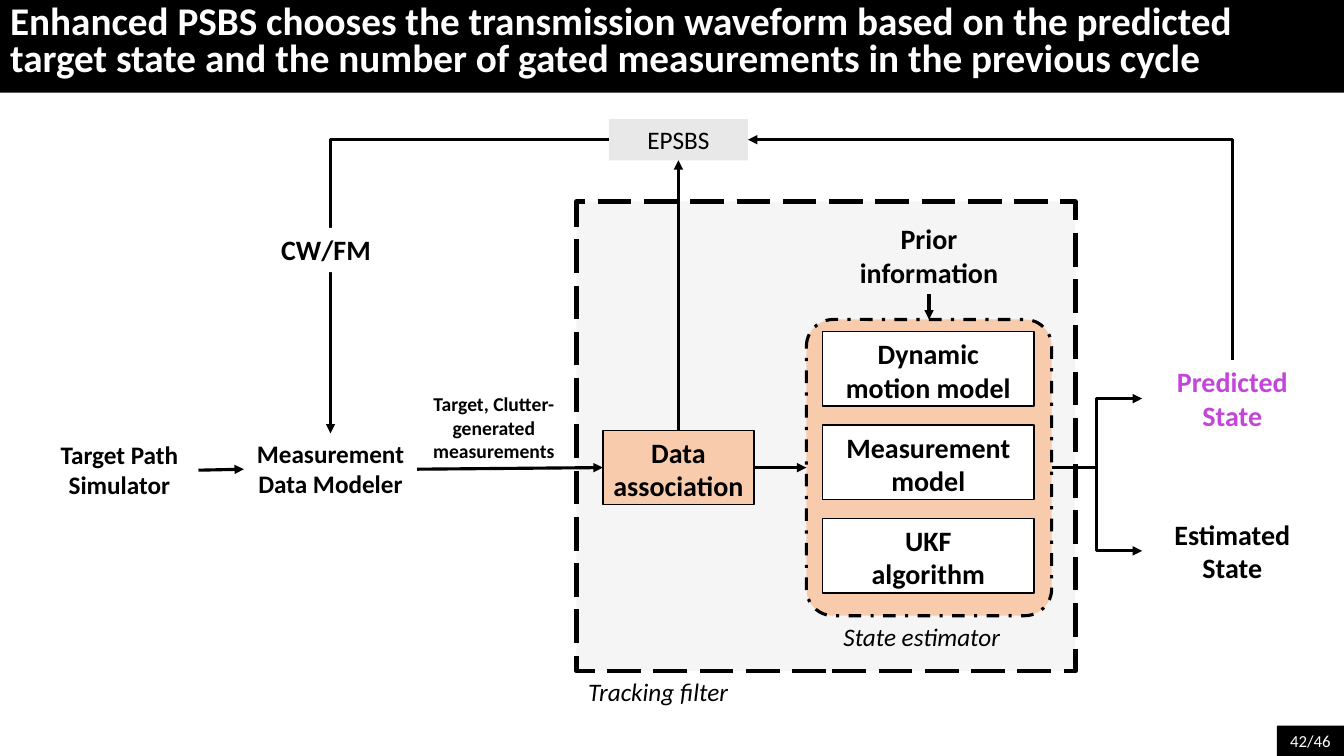
import pptx
import pptx.dml.color
import pptx.enum.dml
import pptx.enum.shapes
import pptx.enum.text
import pptx.oxml
import pptx.oxml.ns
import pptx.util

Pt = pptx.util.Pt
SHAPE = pptx.enum.shapes.MSO_SHAPE
CONNECTOR = pptx.enum.shapes.MSO_CONNECTOR
DASH = pptx.enum.dml.MSO_LINE
ALIGN = pptx.enum.text.PP_ALIGN
TOP, LEFT, BOTTOM, RIGHT = range(4)


def rgb(value):
    return pptx.dml.color.RGBColor.from_string(value)


class Diagram:
    """Draws styled blocks, labels and links on one slide."""

    font, ink, paper = "Calibri", "000000", "FFFFFF"
    panel, accent = "F5F5F5", "F8CBAD"

    def __init__(self, prs):
        self.slide = prs.slides.add_slide(prs.slide_layouts[5])
        self.shapes = self.slide.shapes

    def set_text(self, sp, text, size, bold=False, italic=False, color=ink, align=ALIGN.CENTER):
        tf = sp.text_frame
        tf.text = text
        tf.word_wrap = True
        tf.auto_size = pptx.enum.text.MSO_AUTO_SIZE.NONE
        tf.vertical_anchor = pptx.enum.text.MSO_ANCHOR.TOP
        for p in tf.paragraphs:
            p.alignment = align
            p.font.name = self.font
            p.font.size = Pt(size)
            p.font.bold = bold
            p.font.italic = italic
            p.font.color.rgb = rgb(color)

    def title(self, text, box, size):
        sp = self.shapes.title
        sp.left, sp.top, sp.width, sp.height = map(Pt, box)
        sp.fill.solid()
        sp.fill.fore_color.rgb = rgb(self.ink)
        self.set_text(sp, text, size, bold=True, color=self.paper, align=ALIGN.LEFT)
        sp.text_frame.paragraphs[0].line_spacing = 0.8

    def block(self, box, fill, line=None, dash=None, kind=SHAPE.RECTANGLE):
        sp = self.shapes.add_shape(kind, *map(Pt, box))
        sp.shadow.inherit = False
        sp.fill.solid()
        sp.fill.fore_color.rgb = rgb(fill)
        if line is None:
            sp.line.fill.background()
        else:
            sp.line.color.rgb = rgb(self.ink)
            sp.line.width = Pt(line)
            sp.line.dash_style = dash
        return sp

    def text_block(self, text, box, fill=paper, line=None, size=20, bold=True, color=ink):
        sp = self.block(box, fill, line)
        self.set_text(sp, text, size, bold, color=color)
        return sp

    def label(self, text, box, size=20, bold=True, italic=False, color=ink):
        sp = self.shapes.add_textbox(*map(Pt, box))
        self.set_text(sp, text, size, bold, italic, color)
        return sp

    def link(self, start, start_side, end, end_side, kind=CONNECTOR.STRAIGHT,
             corner=False, arrow="tailEnd"):
        cxn = self.shapes.add_connector(kind, 0, 0, 0, 0)
        cxn.begin_connect(start, start_side)
        cxn.end_connect(end, end_side)
        cxn.line.color.rgb = rgb(self.ink)
        cxn.line.width = Pt(2.25)
        props = cxn.element.spPr
        if corner:
            props.find(pptx.oxml.ns.qn("a:prstGeom")).set("prst", "bentConnector2")
        ns = pptx.oxml.ns.nsdecls("a")
        props.find(pptx.oxml.ns.qn("a:ln")).append(
            pptx.oxml.parse_xml(f'<a:{arrow} {ns} type="triangle"/>'))
        props.append(pptx.oxml.parse_xml(f"<a:effectLst {ns}/>"))


def main():
    prs = pptx.Presentation()
    prs.slide_width, prs.slide_height = Pt(960), Pt(540)
    s = Diagram(prs)

    s.title("Enhanced PSBS chooses the transmission waveform based on the predicted "
            "target state and the number of gated measurements in the previous cycle",
            (0, 0, 960, 66.2), 28)
    s.text_block("42/46", (912, 518.4, 48, 21.6), s.ink, size=12, bold=False, color=s.paper)

    s.block((411.8, 144, 356.4, 335.5), s.panel, 3, DASH.LONG_DASH)
    estimator = s.block((576, 228.2, 175.2, 211.6), s.accent, 2.25, DASH.DASH_DOT,
                        SHAPE.ROUNDED_RECTANGLE)
    estimator.adjustments[0] = 0.11
    models = ("Dynamic motion model", "Measurement model", "UKF\nalgorithm")
    for i, model in enumerate(models):
        s.text_block(model, (587.5, 236.9 + 66.7 * i, 151.2, 53.2), line=1)

    association = s.text_block("Data association", (430.6, 307.4, 108, 53.2), s.accent, 1)
    modeler = s.text_block("Measurement Data Modeler", (174.2, 309.6, 123.8, 51.1), size=18)
    simulator = s.text_block("Target Path Simulator", (28.8, 310.3, 113, 51.1), size=18)
    epsbs = s.text_block("EPSBS", (434.9, 85, 99.4, 29.5), "E8E8E8", size=18, bold=False)

    predicted = s.label("Predicted State", (815.8, 257, 128.9, 55.4), color="C445D9")
    estimated = s.label("Estimated State", (815.8, 365.8, 128.9, 55.4))
    prior = s.label("Prior information", (595.2, 154.8, 136.8, 55.4))
    s.label("Target, Clutter-generated measurements", (294.5, 276.5, 116.6, 55.4), size=14)
    s.label("State estimator", (587.5, 439.9, 141.8, 27.4), 18, bold=False, italic=True)
    s.label("Tracking filter", (411.8, 479.5, 116.6, 27.4), 18, bold=False, italic=True)

    s.link(simulator, RIGHT, modeler, LEFT)
    s.link(modeler, RIGHT, association, LEFT)
    s.link(association, RIGHT, estimator, LEFT)
    s.link(association, TOP, epsbs, BOTTOM)
    s.link(prior, BOTTOM, estimator, TOP)
    for state in (predicted, estimated):
        s.link(estimator, RIGHT, state, LEFT, CONNECTOR.ELBOW)
    s.link(epsbs, LEFT, modeler, TOP, CONNECTOR.ELBOW, corner=True)
    s.link(epsbs, RIGHT, predicted, TOP, CONNECTOR.ELBOW, corner=True, arrow="headEnd")
    s.text_block("CW/FM", (188.6, 162.7, 88.6, 31.7))

    prs.save("out.pptx")


if __name__ == "__main__":
    main()
